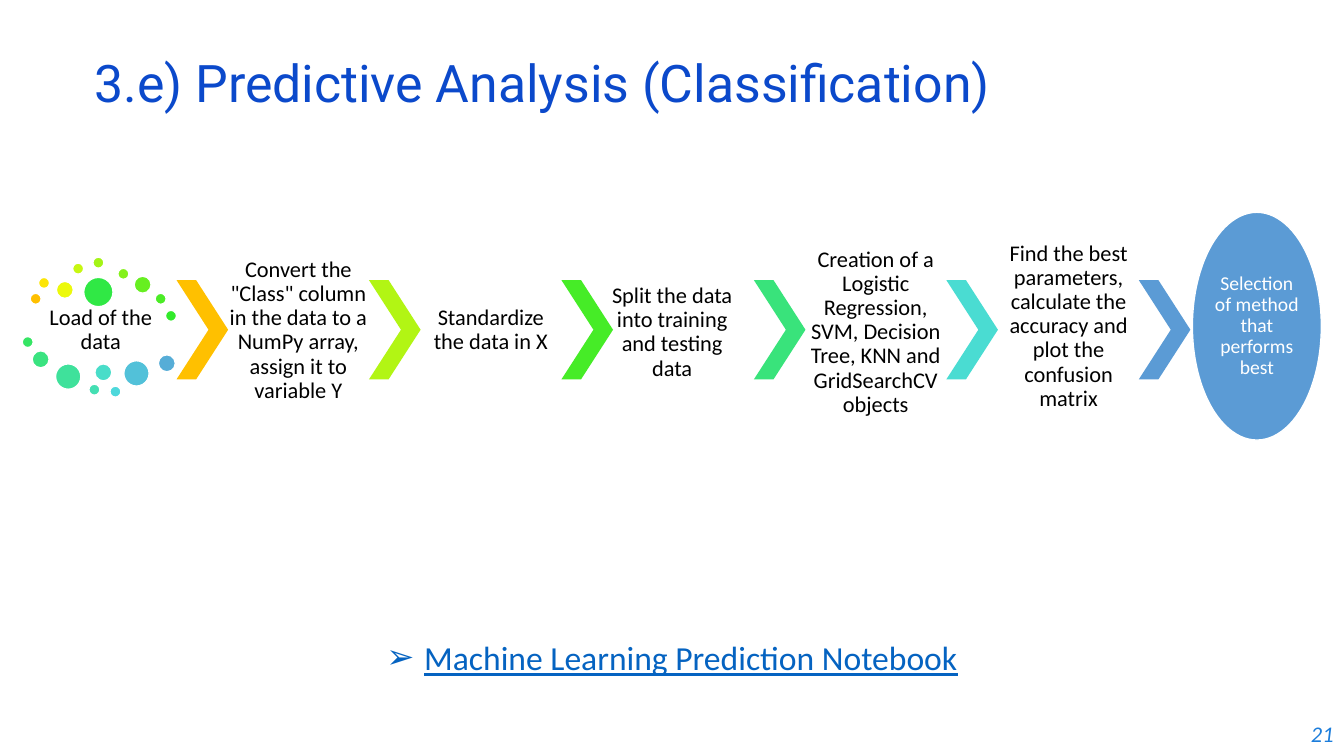
from lxml.etree import SubElement
from pptx import Presentation
from pptx.dml.color import RGBColor
from pptx.enum.shapes import MSO_SHAPE as Shape
from pptx.enum.text import MSO_ANCHOR as Anchor, MSO_AUTO_SIZE as AutoSize, PP_ALIGN as Align
from pptx.oxml.ns import qn
from pptx.util import Cm, Pt

CHEVRON_LEFT, CHEVRON_TOP = 4.45, 7.06
PITCH = 4.85

# text, left, middle and height of its box, colour of the chevron after it
STEPS = [
    ("Load of the data", 0.76, 8.33, 2.5, "FFC000"),
    ('Convert the "Class" column in the data to a NumPy array, assign it to variable Y',
     5.74, 8.33, 2.5, "B2F514"),
    ("Standardize the data in X", 10.59, 8.33, 2.5, "46EC27"),
    ("Split the data into training and testing data", 15.16, 8.38, 6.1, "39E37B"),
    ("Creation of a Logistic Regression, SVM, Decision Tree, KNN and GridSearchCV objects",
     20.29, 8.38, 5.49, "4ADCD2"),
    ("Find the best parameters, calculate the accuracy and plot the confusion matrix",
     25.15, 8.23, 5.33, "5B9BD5"),
]

# left, top, diameter, colour
DOTS = [
    (0.76, 7.39, 0.28, "FFC000"), (0.97, 6.99, 0.28, "FCE506"),
    (1.42, 7.09, 0.43, "ECF90B"), (1.83, 6.63, 0.28, "C7F711"),
    (2.34, 6.48, 0.28, "A4F416"), (2.97, 6.76, 0.28, "84F11B"),
    (3.38, 6.96, 0.43, "67EF21"), (3.91, 7.39, 0.28, "4BEC26"),
    (4.17, 7.82, 0.28, "32EA2B"), (2.11, 6.99, 0.74, "30E845"),
    (0.56, 8.48, 0.28, "35E564"), (0.81, 8.84, 0.43, "3AE380"),
    (1.40, 9.17, 0.64, "3FE19B"), (2.24, 9.68, 0.28, "44DFB3"),
    (2.39, 9.17, 0.43, "49DDC9"), (2.77, 9.73, 0.28, "4DD8DB"),
    (3.12, 9.09, 0.64, "52C1D9"), (3.99, 8.94, 0.43, "56ADD7"),
]


def rgb(value):
    return RGBColor.from_string(value)


def write(tf, text, size, color, font="Calibri", align=Align.CENTER, spacing=1.0, margin=None):
    tf.word_wrap = True
    tf.auto_size = AutoSize.NONE
    tf.vertical_anchor = Anchor.MIDDLE
    if margin is not None:
        tf.margin_left = tf.margin_right = tf.margin_top = tf.margin_bottom = Cm(margin)
    tf.text = text
    p = tf.paragraphs[0]
    p.alignment, p.line_spacing, p.space_before = align, spacing, Pt(0)
    r = p.runs[0]
    r.font.name, r.font.size = font, Pt(size)
    r.font.color.rgb = rgb(color)
    return p


def add_text(s, box, *args, **options):
    return write(s.shapes.add_textbox(*map(Cm, box)).text_frame, *args, **options)


def add_filled(s, kind, box, fill, line=None):
    sp = s.shapes.add_shape(kind, *map(Cm, box))
    sp.shadow.inherit = False
    sp.fill.solid()
    sp.fill.fore_color.rgb = rgb(fill)
    if line:
        sp.line.color.rgb = rgb(line)
        sp.line.width = Pt(1)
    else:
        sp.line.fill.background()
    return sp


def place(sp, box):
    sp.left, sp.top, sp.width, sp.height = map(Cm, box)


def add_bullet(p, mark, indent):
    pPr = p._p.get_or_add_pPr()
    pPr.set("marL", str(Cm(indent)))
    pPr.set("indent", str(-Cm(indent)))
    SubElement(pPr, qn("a:buFont")).set("typeface", "Wingdings")
    pPr[-1].set("typeface", "Arial")
    SubElement(pPr, qn("a:buChar")).set("char", mark)


def main():
    prs = Presentation()
    prs.slide_width, prs.slide_height = Cm(33.87), Cm(19.05)
    s = prs.slides.add_slide(prs.slide_layouts[1])

    # Title
    place(s.shapes.title, (2.13, 1.5, 29.21, 1.52))
    write(s.shapes.title.text_frame, "3.e) Predictive Analysis (Classification)", 37, "0B49CB",
          font="Roboto", align=Align.LEFT, spacing=0.7)

    # Link line
    body = s.placeholders[1]
    place(body, (0, 15.93, 33.87, 1.27))
    p = write(body.text_frame, "Machine Learning Prediction Notebook", 24, "0563C1")
    body.text_frame.vertical_anchor = Anchor.TOP
    p.runs[0].font.underline = True
    add_bullet(p, "➢", 0.95)

    # Dots around the first step
    for left, top, size, color in DOTS:
        add_filled(s, Shape.OVAL, (left, top, size, size), color, line="FFFFFF")

    # Steps, each followed by a chevron
    for i, (text, left, middle, height, color) in enumerate(STEPS):
        add_text(s, (left, middle - height / 2, 3.56, height), text, 16, "000000",
                 spacing=0.9, margin=0.05)
        chevron = add_filled(s, Shape.CHEVRON,
                             (CHEVRON_LEFT + i * PITCH, CHEVRON_TOP, 1.3, 2.5), color)
        chevron.adjustments[0] = 0.62

    # Result
    result = add_filled(s, Shape.OVAL, (30.05, 5.35, 3.25, 5.74), "5B9BD5", line="FFFFFF")
    write(result.text_frame, "Selection of method that performs best", 14, "FFFFFF",
          spacing=0.9, margin=0)

    # Page number
    p = add_text(s, (26.24, 17.93, 7.62, 1.12), "21", 16, "1C7DDB", align=Align.RIGHT)
    p.runs[0].font.italic = True

    prs.save("out.pptx")


if __name__ == "__main__":
    main()
